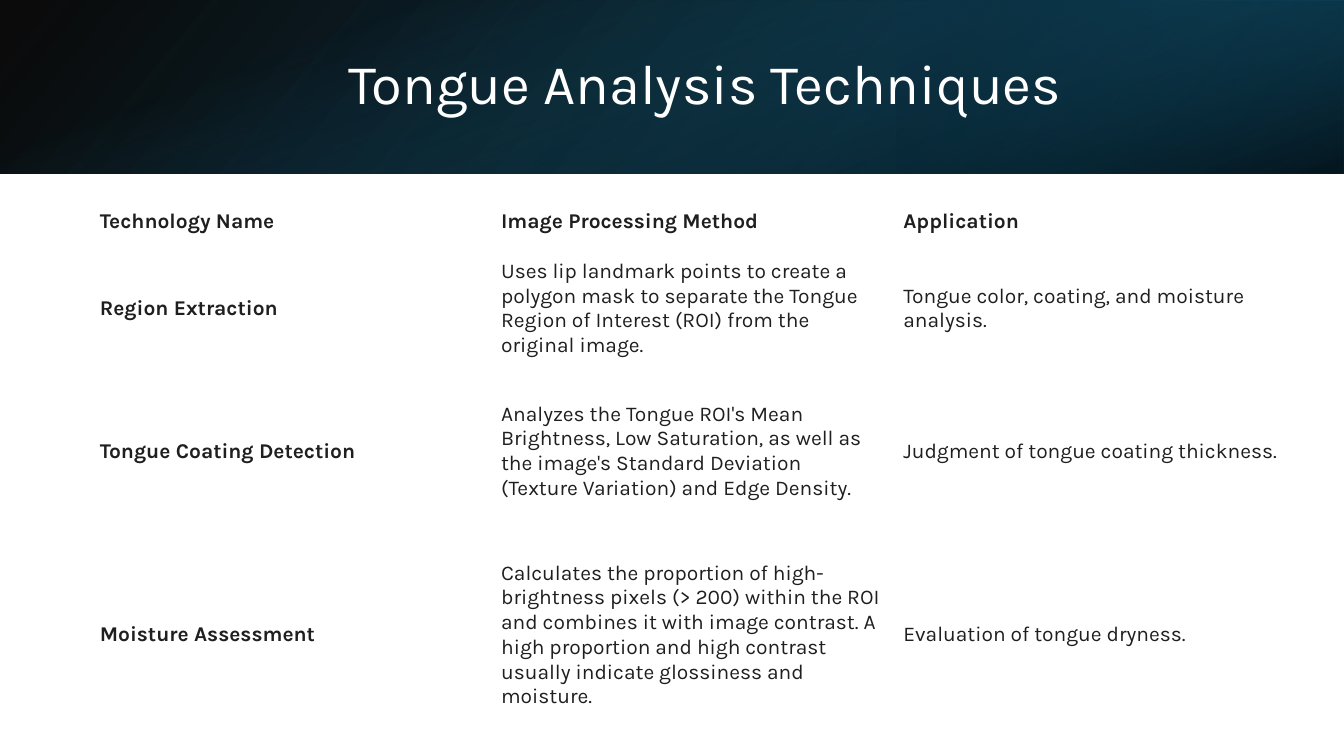
from pptx import Presentation
from pptx.dml.color import RGBColor
from pptx.enum.shapes import MSO_SHAPE
from pptx.enum.text import MSO_ANCHOR, PP_ALIGN
from pptx.oxml import parse_xml
from pptx.oxml.ns import nsdecls, qn
from pptx.util import Inches, Pt

RECT = MSO_SHAPE.RECTANGLE
MIDDLE = MSO_ANCHOR.MIDDLE
CENTER, LEFT = PP_ALIGN.CENTER, PP_ALIGN.LEFT
FONT = "Karla"
COLORS = {
    "white": "FFFFFF", "black": "000000", "ink": "1F1F1F",
    "navy": "104862", "deep": "0B3041", "teal": "156082",
}
TITLE = "Tongue Analysis Techniques"
COL_WIDTHS = [3.98, 3.99, 3.99]
ROW_HEIGHTS = [0.44, 1.28, 1.55, 2.1]
ROWS = [
    ("Technology Name", "Image Processing Method", "Application"),
    ("Region Extraction",
     "Uses lip landmark points to create a polygon mask to separate the "
     "Tongue Region of Interest (ROI) from the original image.",
     "Tongue color, coating, and moisture analysis."),
    ("Tongue Coating Detection",
     "Analyzes the Tongue ROI's Mean Brightness, Low Saturation, as well as "
     "the image's Standard Deviation (Texture Variation) and Edge Density.",
     "Judgment of tongue coating thickness."),
    ("Moisture Assessment",
     "Calculates the proportion of high-brightness pixels (> 200) within the "
     "ROI and combines it with image contrast. A high proportion and high "
     "contrast usually indicate glossiness and moisture.",
     "Evaluation of tongue dryness."),
]


def write_text(tf, text, size=15, color="ink", bold=False, align=LEFT, spacing=1.0):
    tf.word_wrap = True
    p = tf.paragraphs[0]
    p.alignment = align
    p.line_spacing = spacing
    r = p.add_run()
    r.text = text
    r.font.name = FONT
    r.font.size = Pt(size)
    r.font.bold = bold
    r.font.color.rgb = RGBColor.from_string(COLORS[color])


def add_gradient_band(slide, box, stops, angle, rotation=0, flip=False):
    """Stops are (position %, colour, opacity %); the angle runs clockwise."""
    sp = slide.shapes.add_shape(RECT, *map(Inches, box))
    sp.shadow.inherit = False
    sp.line.fill.background()
    sp.rotation = rotation
    if flip:
        sp._element.spPr.find(qn("a:xfrm")).set("flipH", "1")
    sp.fill.gradient()
    sp.fill.gradient_angle = 360 - angle
    for stop, (position, color, opacity) in zip(sp.fill.gradient_stops, stops):
        stop.position = position / 100
        stop.color.rgb = RGBColor.from_string(COLORS[color])
    for clr, (_, _, opacity) in zip(sp._element.spPr.iter(qn("a:srgbClr")), stops):
        clr.append(parse_xml(f'<a:alpha {nsdecls("a")} val="{opacity * 1000}"/>'))


def add_title(slide, box):
    title = slide.shapes.title
    title.left, title.top, title.width, title.height = map(Inches, box)
    title.text_frame.vertical_anchor = MIDDLE
    write_text(title.text_frame, TITLE, size=40, color="white", align=CENTER, spacing=0.9)
    # Bring the title in front of the header bands
    slide.shapes._spTree.append(title._element)


def set_borders(cell, color, width):
    tcPr = cell._tc.get_or_add_tcPr()
    for i, side in enumerate(("lnL", "lnR", "lnT", "lnB")):
        tcPr.insert(i, parse_xml(
            f'<a:{side} {nsdecls("a")} w="{Pt(width)}"><a:solidFill>'
            f'<a:srgbClr val="{COLORS[color]}"/></a:solidFill></a:{side}>'))


def add_technique_table(slide, left, top):
    frame = slide.shapes.add_table(
        len(ROWS), len(COL_WIDTHS), Inches(left), Inches(top),
        Inches(sum(COL_WIDTHS)), Inches(sum(ROW_HEIGHTS)))
    table = frame.table
    table.first_row = table.horz_banding = False
    for column, width in zip(table.columns, COL_WIDTHS):
        column.width = Inches(width)
    for i, (row, height) in enumerate(zip(table.rows, ROW_HEIGHTS)):
        row.height = Inches(height)
        for j, cell in enumerate(row.cells):
            cell.fill.background()
            cell.vertical_anchor = MIDDLE
            cell.margin_left = cell.margin_right = Inches(0.1)
            cell.margin_top = cell.margin_bottom = Inches(0.07)
            set_borders(cell, "white", 0.75)
            # Header row and first column are bold
            write_text(cell.text_frame, ROWS[i][j], bold=i == 0 or j == 0)


def main():
    prs = Presentation()
    prs.slide_width, prs.slide_height = Inches(13.33), Inches(7.5)
    slide = prs.slides.add_slide(prs.slide_layouts[5])
    slide.background.fill.solid()
    slide.background.fill.fore_color.rgb = RGBColor.from_string(COLORS["white"])

    # Header: three layered gradients
    add_gradient_band(slide, (0, 0, 13.33, 1.72),
                      [(0, "black", 96), (100, "navy", 100)], 140, flip=True)
    add_gradient_band(slide, (8.89, 0, 4.44, 1.72),
                      [(19, "deep", 68), (100, "teal", 79)], 320, rotation=180, flip=True)
    add_gradient_band(slide, (5.8, -5.8, 1.72, 13.33),
                      [(23, "teal", 0), (99, "black", 74)], 340, rotation=90)
    add_title(slide, (1.5, 0.38, 10.98, 0.96))

    # Body
    add_technique_table(slide, 0.89, 1.98)
    prs.save("out.pptx")


if __name__ == "__main__":
    main()
